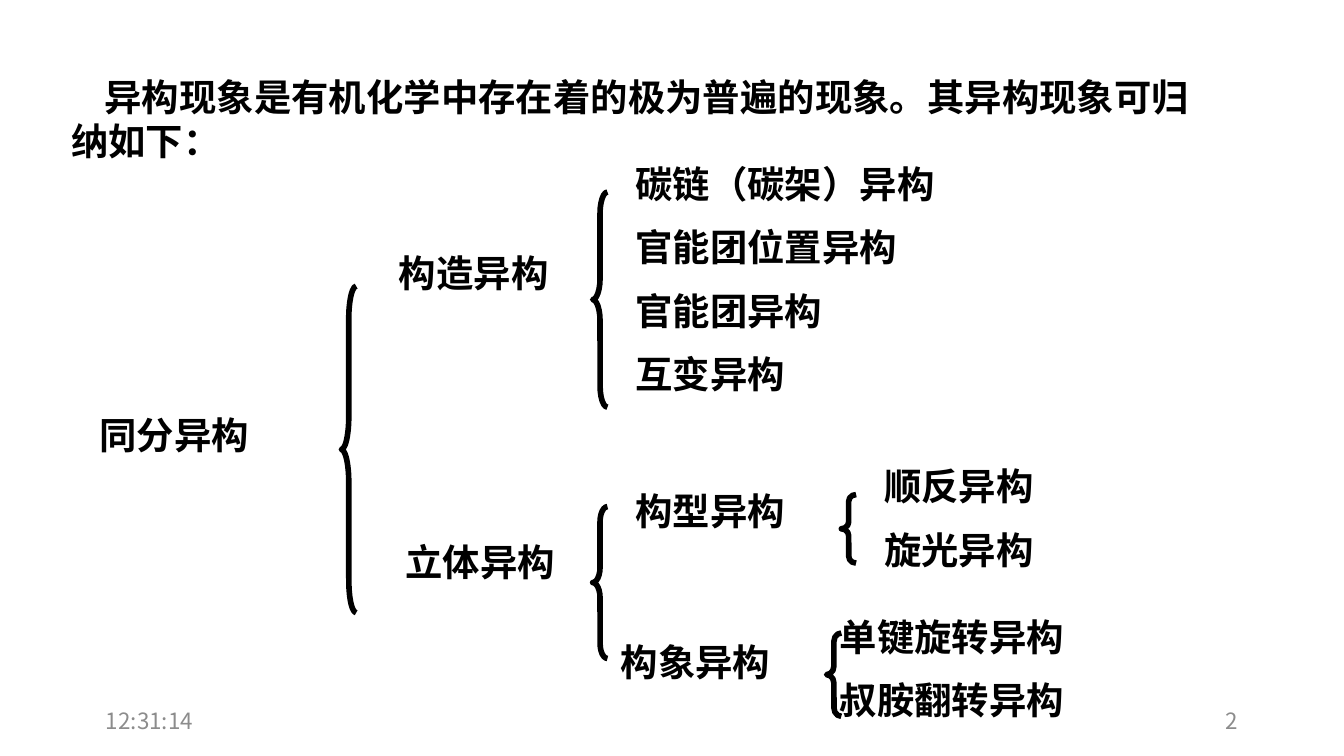
from pptx import Presentation
from pptx.dml.color import RGBColor
from pptx.enum.shapes import MSO_SHAPE
from pptx.enum.text import MSO_ANCHOR, PP_ALIGN
from pptx.util import Inches, Pt

SANS, SERIF = "Noto Sans CJK SC", "Times New Roman"


def paint(color, value):
    color.rgb = RGBColor.from_string(value)


def write(box, lines, font, size=20, bold=True, ink="000000"):
    """Add a text box with one paragraph per line and return its frame."""
    frame = slide.shapes.add_textbox(*map(Inches, box)).text_frame
    frame.word_wrap = True
    for i, line in enumerate(lines):
        par = frame.paragraphs[0] if i == 0 else frame.add_paragraph()
        par.text = line
        if i:
            par.space_before = Pt(size / 2)
        par.font.name = font
        par.font.size = Pt(size)
        par.font.bold = bold
        paint(par.font.color, ink)
    return frame


deck = Presentation()
deck.slide_width = Inches(10)
deck.slide_height = deck.slide_width * 9 // 16
slide = deck.slides.add_slide(deck.slide_layouts[6])

intro = "异构现象是有机化学中存在着的极为普遍的现象。其异构现象可归纳如下："
frame = write((0.43, 0.5, 8.58, 0.82), [intro], SANS)
frame.paragraphs[0]._p.get_or_add_pPr().set("indent", str(Inches(0.25)))

# Tree labels: left, top, width, font, lines
labels = [
    (0.64, 3.02, 1.75, SANS, ["同分异构"]),
    (2.87, 1.81, 2.05, SERIF, ["构造异构"]),
    (2.92, 3.96, 1.73, SERIF, ["立体异构"]),
    (4.63, 1.15, 2.94, SERIF,
     ["碳链（碳架）异构", "官能团位置异构", "官能团异构", "互变异构"]),
    (4.63, 3.58, 1.96, SERIF, ["构型异构"]),
    (4.52, 4.71, 1.74, SERIF, ["构象异构"]),
    (6.48, 3.4, 3.16, SERIF, ["顺反异构", "旋光异构"]),
    (6.15, 4.52, 2.54, SERIF, ["单键旋转异构", "叔胺翻转异构"]),
]
for left, top, width, font, lines in labels:
    height = 0.43 + 0.5 * (len(lines) - 1)
    write((left, top, width, height), lines, font)

# Braces: left, top, height, curve
braces = [
    (2.54, 2.13, 2.43, 2.21),
    (4.41, 1.43, 1.6, 1.43),
    (4.41, 3.77, 1.13, 1.03),
    (6.26, 3.68, 0.51, 0.46),
    (6.15, 4.71, 0.62, 0.57),
]
for left, top, height, curve in braces:
    brace = slide.shapes.add_shape(
        MSO_SHAPE.LEFT_BRACE, *map(Inches, (left, top, 0.11, height)))
    brace.adjustments[0] = curve
    brace.shadow.inherit = False
    brace.fill.background()
    paint(brace.line.color, "000000")
    brace.line.width = Pt(3)

# Footer: time and page number
for left, text, side in [(0.69, "12:31:14", PP_ALIGN.LEFT),
                         (7.06, "2", PP_ALIGN.RIGHT)]:
    frame = write((left, 5.21, 2.25, 0.3), [text], SANS, 12, False, "8C8C8C")
    frame.vertical_anchor = MSO_ANCHOR.MIDDLE
    frame.paragraphs[0].alignment = side

deck.save("out.pptx")
